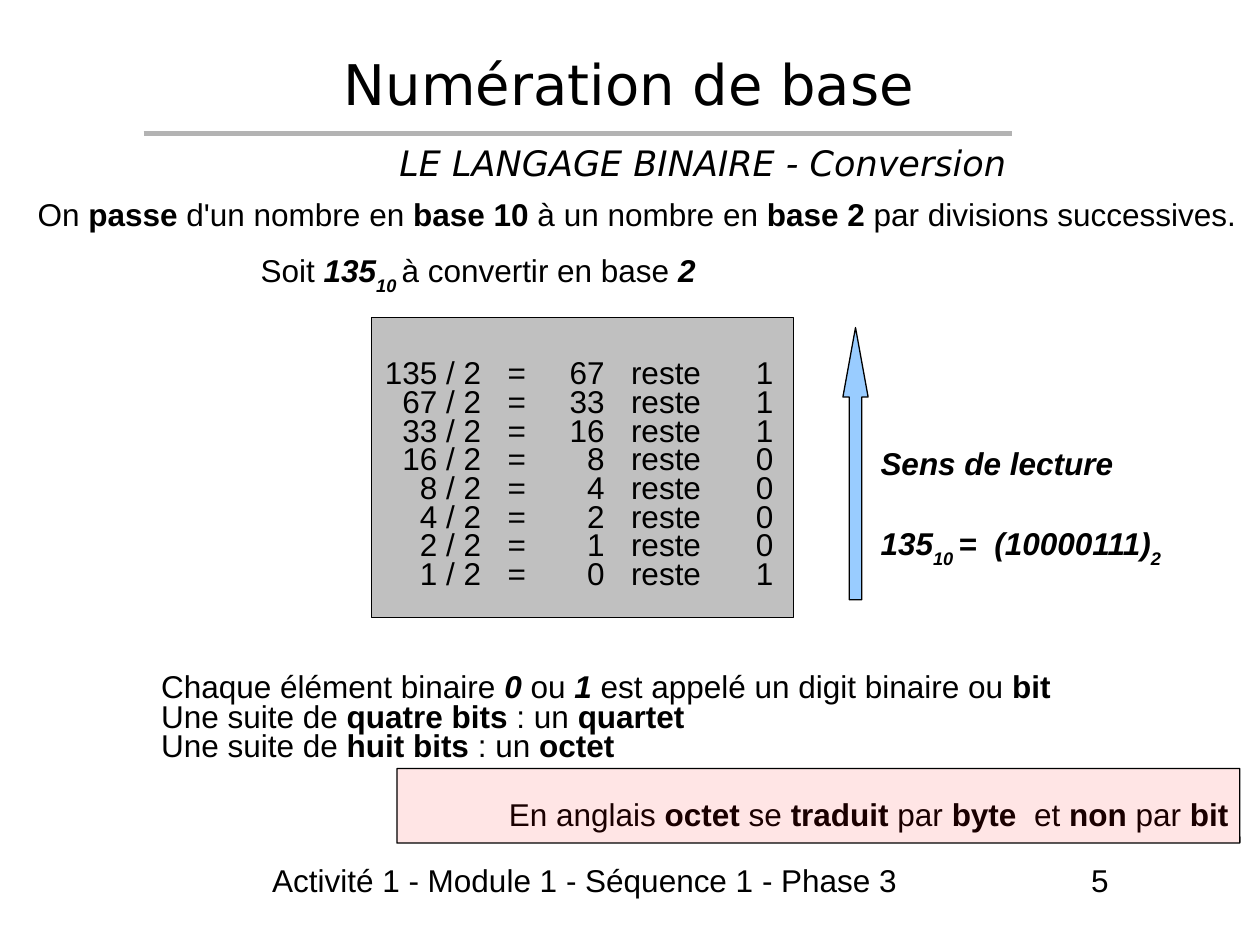
from dataclasses import dataclass

from lxml.etree import SubElement
from pptx import Presentation
from pptx.dml.color import RGBColor
from pptx.enum.shapes import MSO_CONNECTOR, MSO_SHAPE
from pptx.enum.text import MSO_ANCHOR, PP_ALIGN
from pptx.oxml.ns import qn
from pptx.util import Inches, Pt


@dataclass(frozen=True)
class Theme:
    ink: str = "000000"
    rule: str = "B3B3B3"
    panel: str = "C0C0C0"
    arrow: str = "99CCFF"
    note: str = "FF0000"
    heading_font: str = "DejaVu Sans"
    body_font: str = "Arial"
    title_size: int = 32
    subtitle_size: int = 20
    body_size: int = 18
    outline: float = 0.75
    rule_width: float = 2.83
    tight: float = 0.76


class Lesson:
    def __init__(self, slide, theme):
        self.slide = slide
        self.theme = theme

    def style(self, run, size, family, flags=""):
        font = run.font
        font.size = Pt(size)
        font.name = family
        font.color.rgb = RGBColor.from_string(self.theme.ink)
        font.bold = "b" in flags
        font.italic = "i" in flags
        if "s" in flags:
            run._r.get_or_add_rPr().set("baseline", "-33000")

    def frame(self, shape, insets):
        frame = shape.text_frame
        frame.word_wrap = True
        frame.vertical_anchor = MSO_ANCHOR.TOP
        frame.margin_left, frame.margin_top, frame.margin_right, frame.margin_bottom = map(Inches, insets)
        return frame

    def heading(self, box, text, size, flags="", bottom=0.05):
        frame = self.frame(self.slide.shapes.add_textbox(*map(Inches, box)), (0.1, 0.05, 0.1, bottom))
        frame.vertical_anchor = MSO_ANCHOR.MIDDLE
        frame.text = text
        frame.paragraphs[0].alignment = PP_ALIGN.CENTER
        self.style(frame.paragraphs[0].runs[0], size, self.theme.heading_font, flags)

    def text(self, box, *lines, insets=(0.1, 0.05, 0, 0.05)):
        frame = self.frame(self.slide.shapes.add_textbox(*map(Inches, box)), insets)
        for number, parts in enumerate(lines):
            paragraph = frame.add_paragraph() if number else frame.paragraphs[0]
            paragraph.line_spacing = self.theme.tight
            for words, flags in parts:
                run = paragraph.add_run()
                run.text = words
                self.style(run, self.theme.body_size, self.theme.body_font, flags)

    def shape(self, kind, box, fill, adjustments=(), opacity=None):
        shape = self.slide.shapes.add_shape(kind, *map(Inches, box))
        shape.shadow.inherit = False
        for index, value in enumerate(adjustments):
            shape.adjustments[index] = value
        shape.fill.solid()
        shape.fill.fore_color.rgb = RGBColor.from_string(fill)
        if opacity is not None:
            color = shape._element.spPr.find(qn("a:solidFill"))[0]
            SubElement(color, qn("a:alpha"), val=str(opacity * 1000))
        shape.line.color.rgb = RGBColor.from_string(self.theme.ink)
        shape.line.width = Pt(self.theme.outline)
        return shape

    def divisions(self, box, rows, stops):
        panel = self.shape(MSO_SHAPE.RECTANGLE, box, self.theme.panel)
        frame = self.frame(panel, (0.1, 0.35, 0.1, 0.05))
        frame.text = "\n".join(rows)
        for paragraph in frame.paragraphs:
            paragraph.alignment = PP_ALIGN.LEFT
            paragraph.line_spacing = self.theme.tight
            tabs = SubElement(paragraph._p.get_or_add_pPr(), qn("a:tabLst"))
            for position, side in stops:
                SubElement(tabs, qn("a:tab"), pos=str(Inches(position)), algn=side)
            for run in paragraph.runs:
                self.style(run, self.theme.body_size, self.theme.body_font)

    def rule(self, start, end):
        line = self.slide.shapes.add_connector(MSO_CONNECTOR.STRAIGHT, *map(Inches, start + end))
        line.line.color.rgb = RGBColor.from_string(self.theme.rule)
        line.line.width = Pt(self.theme.rule_width)
        SubElement(line._element.spPr, qn("a:effectLst"))


def main():
    presentation = Presentation()
    presentation.slide_width, presentation.slide_height = Inches(10), Inches(7.5)
    theme = Theme()
    lesson = Lesson(presentation.slides.add_slide(presentation.slide_layouts[6]), theme)

    lesson.heading((0.5, 0.23, 8.99, 1.38), "Numération de base", theme.title_size, bottom=0.57)
    lesson.rule((1.14, 1.06), (8.03, 1.06))
    lesson.heading((1.18, 1.07, 8.8, 0.44), "LE LANGAGE BINAIRE - Conversion", theme.subtitle_size, "i")

    rows = []
    dividend = 135
    while dividend:
        quotient, remainder = divmod(dividend, 2)
        rows.append(f"\t{dividend} / 2\t=\t{quotient}\treste\t{remainder}")
        dividend = quotient
    stops = [(0.77, "r"), (0.98, "l"), (1.75, "r"), (1.96, "l"), (2.95, "l")]
    lesson.divisions((2.95, 2.52, 3.35, 2.38), rows, stops)

    lesson.text((1.97, 1.97, 3.64, 0.39),
                [("Soit ", ""), ("135", "bi"), ("10 ", "bis"), ("à convertir en base ", ""), ("2", "bi")])
    lesson.shape(MSO_SHAPE.UP_ARROW, (6.69, 2.6, 0.2, 2.16), theme.arrow, (0.5, 2.755))
    lesson.text((6.89, 3.54, 2.16, 0.33), [("Sens de lecture", "bi")])
    lesson.text((0.2, 1.57, 9.69, 0.33),
                [("On ", ""), ("passe", "b"), (" d'un nombre en ", ""), ("base 10", "b"),
                 (" à un nombre en ", ""), ("base 2", "b"), (" par divisions successives.", "")])
    lesson.text((6.89, 4.14, 2.42, 0.39),
                [("135", "bi"), ("10 ", "bis"), ("=  (10000111)", "bi"), ("2", "bis")])
    lesson.text((1.18, 5.31, 7.28, 0.33),
                [("Chaque élément binaire ", ""), ("0", "bi"), (" ou ", ""), ("1", "bi"),
                 (" est appelé un digit binaire ou ", ""), ("bit", "b")])
    groups = [("quatre bits", "quartet"), ("huit bits", "octet")]
    lesson.text((1.18, 5.55, 4.35, 0.56),
                *([("Une suite de ", ""), (count, "b"), (" : un ", ""), (name, "b")] for count, name in groups))
    lesson.text((3.94, 6.33, 5.91, 0.33),
                [("En anglais ", ""), ("octet", "b"), (" se ", ""), ("traduit", "b"), (" par ", ""),
                 ("byte", "b"), ("  et ", ""), ("non", "b"), (" par ", ""), ("bit", "b")])
    lesson.shape(MSO_SHAPE.ROUNDED_RECTANGLE, (3.15, 6.1, 6.69, 0.59), theme.note, (0.003,), opacity=10)

    footer_insets = (0, 0.07, 0, 0)
    lesson.text((2.16, 6.83, 6.47, 0.49), [("Activité 1 - Module 1 - Séquence 1 - Phase 3", "")],
                insets=footer_insets)
    lesson.text((8.66, 6.83, 0.81, 0.49), [("5", "")], insets=footer_insets)

    presentation.save("out.pptx")


if __name__ == "__main__":
    main()
